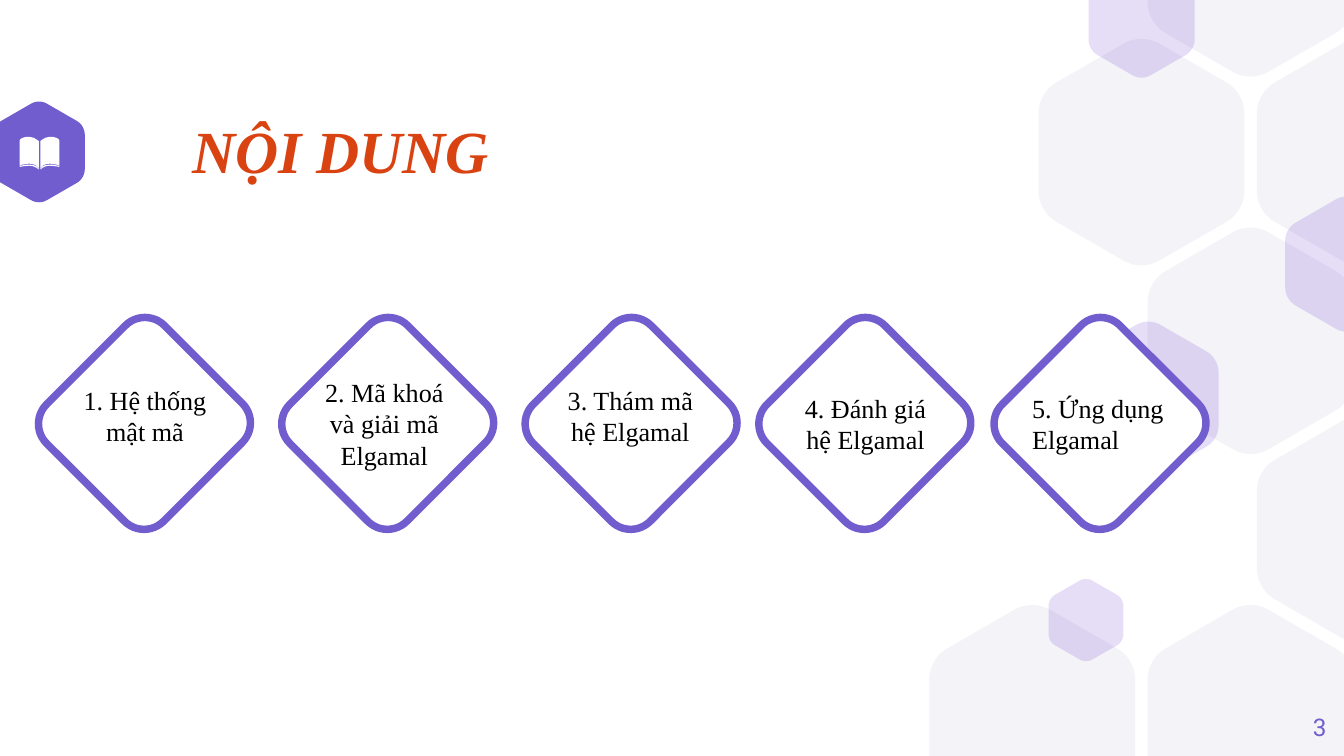
from math import cos, pi, sin, sqrt

from lxml import etree
from pptx import Presentation
from pptx import util as u
from pptx.dml.color import RGBColor
from pptx.enum import shapes, text
from pptx.oxml import ns

WIDE, HIGH = 720, 405
SERIF = "Times New Roman"
HUES = {"main": "725DCF", "pale": "F4F3F8", "glow": "5322C9",
        "title": "D94312", "ink": "000000", "white": "FFFFFF"}
CELLS = [(0, 4), (2, 4), (3, 1), (2, 0), (2, 2), (1, 1), (3, 3)]
GLOWS = [(721.4, 141.5, 65.8), (581.8, 332.2, 40),
         (611.6, 10.3, 56.9), (615.2, 213.8, 75.3)]
SPINE = 21.2
PAGE = [(0.4, 75.6), (1.2, 75), (2, 74.5), (3.2, 73.8), (5.4, 73.3),
        (7.5, 73.4), (9.2, 73.9), (10.2, 74.5), (10.6, 75.2), (10.6, 88),
        (10.2, 88.4), (9, 88.2), (7, 87.8), (5.4, 87.7), (3.4, 88),
        (1.8, 88.7), (0.4, 90)]
EDGE = [(10.6, 88.2), (10.2, 88.8), (8.5, 88.5), (7, 88.2), (5.2, 88.2),
        (3.4, 88.4), (1.8, 89), (0.4, 90.4), (0.4, 90.8), (1.8, 89.8),
        (3.4, 89.1), (5.2, 88.8), (7, 88.9), (8.5, 89.1), (10.4, 89.4),
        (10.6, 89.2)]
MID, LEFT, RIGHT = text.PP_ALIGN.CENTER, text.PP_ALIGN.LEFT, text.PP_ALIGN.RIGHT
TOPICS = [("1. Hệ thống mật mã", 33.1, 33.8, 202.3, 41, MID),
          ("2. Mã khoá và giải mã Elgamal", 163.4, 162, 198, 58.3, MID),
          ("3. Thám mã hệ Elgamal", 293.8, 293.8, 202.3, 41, MID),
          ("4. Đánh giá hệ Elgamal", 419, 419.8, 206.6, 41, MID),
          ("5. Ứng dụng Elgamal", 545, 545.8, 206.6, 41, LEFT)]


def tint(name):
    """Return the named colour."""
    return RGBColor.from_string(HUES[name])


def paint(shape, hue, alpha=None):
    """Fill a shape, with an optional opacity in percent."""
    shape.shadow.inherit = False
    shape.fill.solid()
    shape.fill.fore_color.rgb = tint(hue)
    if alpha:
        color = shape.fill._xPr.find(".//" + ns.qn("a:srgbClr"))
        etree.SubElement(color, ns.qn("a:alpha"), val=str(alpha * 1000))


def trace(slide, points, hue, alpha=None):
    """Draw a filled outline through points."""
    dots = [(x * 100, y * 100) for x, y in points]
    pen = slide.shapes.build_freeform(*dots[0], scale=u.Pt(1) / 100)
    pen.add_line_segments(dots[1:], close=True)
    shape = pen.convert_to_shape()
    paint(shape, hue, alpha)
    shape.line.fill.background()


def toward(a, b, part):
    """Return the point a given part of the way from a to b."""
    return tuple(p + (q - p) * part for p, q in zip(a, b))


def round_hex(x, y, width, steps=10):
    """Return a hexagon with rounded corners, cut at the slide's top and foot."""
    size = width / sqrt(3)
    tips = [(x + size * cos(pi / 6 + i * pi / 3),
             y + size * sin(pi / 6 + i * pi / 3)) for i in range(6)]
    dots = []
    for i, tip in enumerate(tips):
        start = toward(tip, tips[i - 1], 0.17)
        end = toward(tip, tips[(i + 1) % 6], 0.17)
        curve = [start, toward(start, tip, 0.6), toward(end, tip, 0.6), end]
        for step in range(steps + 1):
            t = step / steps
            parts = [(1 - t) ** 3, 3 * t * (1 - t) ** 2, 3 * t * t * (1 - t), t ** 3]
            px, py = (sum(k * c[n] for k, c in zip(parts, curve)) for n in (0, 1))
            dots.append((px, min(max(py, 0), HIGH)))
    return dots


def label(slide, words, box, size, hue, font=SERIF, align=LEFT, bold=False):
    """Add a wrapped text box and return its frame."""
    frame = slide.shapes.add_textbox(*map(u.Pt, box)).text_frame
    frame.word_wrap = True
    frame.text = words
    line = frame.paragraphs[0]
    line.alignment = align
    face = line.runs[0].font
    face.name, face.size = font, u.Pt(size)
    face.bold = face.italic = bold
    face.color.rgb = tint(hue)
    return frame


def diamond(slide, left):
    """Add an outlined square turned on its corner."""
    box = map(u.Pt, (left, 182.2, 88.6, 89.3))
    shape = slide.shapes.add_shape(shapes.MSO_SHAPE.ROUNDED_RECTANGLE, *box)
    shape.rotation = 45
    paint(shape, "white")
    shape.line.color.rgb = tint("main")
    shape.line.width = u.Pt(4)


def comb(slide):
    """Draw the honeycomb and its translucent accents."""
    for col, row in CELLS:
        trace(slide, round_hex(553 + 58.5 * col, 101.1 * row - 19.6, 110.2), "pale")
    for spot in GLOWS:
        trace(slide, round_hex(*spot), "glow", 15)


def badge(slide):
    """Draw the open book on its hexagon."""
    trace(slide, round_hex(20.9, 81.4, 49), "main")
    for part in (EDGE, PAGE):
        for side in (-1, 1):
            trace(slide, [(SPINE + side * x, y) for x, y in part], "white")


def main():
    """Build and save the slide."""
    deck = Presentation()
    deck.slide_width, deck.slide_height = u.Pt(WIDE), u.Pt(HIGH)
    slide = deck.slides.add_slide(deck.slide_layouts[6])
    comb(slide)
    badge(slide)
    grow = text.MSO_AUTO_SIZE.SHAPE_TO_FIT_TEXT
    for words, left, start, top, high, align in TOPICS:
        diamond(slide, left)
        frame = label(slide, words, (start, top, 87.8, high), 14, "ink", align=align)
        frame.auto_size = grow
    head = label(slide, "NỘI DUNG", (95.8, 57.6, 271.4, 46), 32, "title", bold=True)
    head.auto_size = grow
    page = label(slide, "3", (667.4, 373.7, 43.2, 31), 13, "main", "Roboto", RIGHT)
    page.vertical_anchor = text.MSO_ANCHOR.MIDDLE
    page.margin_left = page.margin_right = page.margin_top = page.margin_bottom = 0
    deck.save("out.pptx")


if __name__ == "__main__":
    main()
